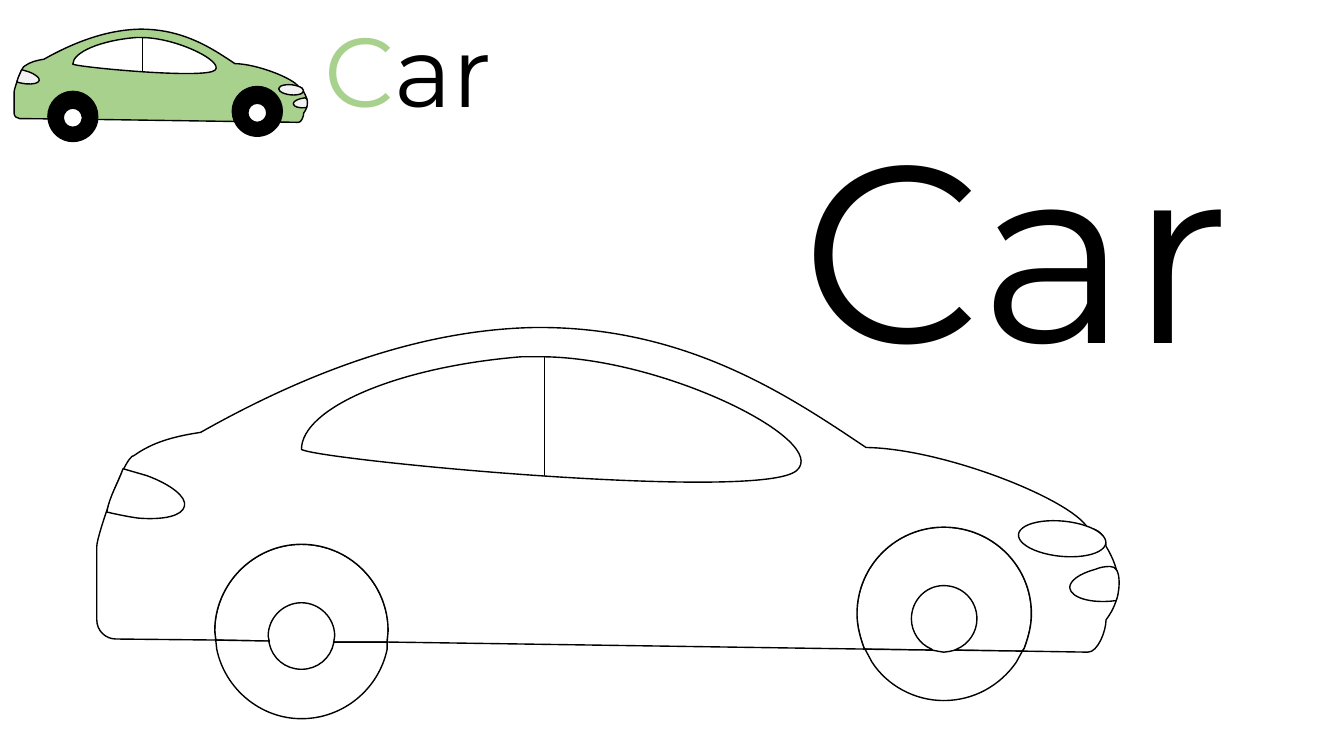
import lxml.etree
import pptx
import pptx.dml.color
import pptx.enum.shapes
import pptx.enum.text
import pptx.oxml.ns
import pptx.util

WIDTH, HEIGHT = 13.33, 7.5
FONT = "Montserrat"
GREEN, BLACK, WHITE, PALE = "A9D18E", "000000", "FFFFFF", "F2F2F2"
CAR_LEFT, CAR_TOP = 0.96, 3.25

WHEELS_TOP = [
    "M 9.36 5.23 C 8.89 5.23 8.5 5.61 8.5 6.09 C 8.5 6.21 8.53 6.32 8.57 6.43 L 8.58 6.44 "
    "L 9.25 6.45 L 9.24 6.44 C 9.12 6.39 9.04 6.27 9.04 6.14 C 9.04 5.96 9.18 5.81 9.36 5.81 "
    "C 9.55 5.81 9.69 5.96 9.69 6.14 C 9.69 6.27 9.61 6.39 9.49 6.44 L 9.47 6.45 L 10.14 6.46 "
    "L 10.16 6.43 C 10.2 6.32 10.23 6.21 10.23 6.09 C 10.23 5.61 9.84 5.23 9.36 5.23",
    "M 2.99 5.4 C 2.52 5.4 2.13 5.79 2.13 6.26 L 2.14 6.35 L 2.67 6.36 L 2.66 6.31 "
    "C 2.66 6.13 2.81 5.98 2.99 5.98 C 3.17 5.98 3.32 6.13 3.32 6.31 L 3.31 6.37 L 3.84 6.37 "
    "L 3.85 6.26 C 3.85 5.79 3.47 5.4 2.99 5.4",
]
BODY = (
    "M 5.29 3.25 C 4.38 3.27 3.3 3.55 1.99 4.29 C 1.72 4.33 1.51 4.39 1.33 4.52 "
    "C 1.23 4.52 0.96 5.32 0.96 5.42 L 0.96 6.15 C 0.96 6.26 1.05 6.34 1.15 6.34 L 2.14 6.35 "
    "L 2.13 6.26 C 2.13 5.79 2.52 5.4 2.99 5.4 C 3.47 5.4 3.85 5.79 3.85 6.26 L 3.84 6.37 "
    "L 8.58 6.44 L 8.57 6.43 C 8.53 6.32 8.5 6.21 8.5 6.09 C 8.5 5.61 8.89 5.23 9.36 5.23 "
    "C 9.84 5.23 10.23 5.61 10.23 6.09 C 10.23 6.21 10.2 6.32 10.16 6.43 L 10.14 6.46 "
    "L 10.79 6.47 C 10.89 6.47 10.97 6.26 10.97 6.15 C 11.15 5.91 11.12 5.67 10.97 5.42 "
    "C 10.97 5.32 10.89 5.24 10.79 5.24 C 10.62 4.95 9.35 4.45 8.59 4.44 "
    "C 7.84 3.94 6.81 3.23 5.29 3.25 "
    "M 5.4 3.54 C 6.62 3.56 8.24 4.38 7.9 4.67 C 7.54 4.98 3.21 4.57 2.99 4.46 "
    "C 2.99 4.05 3.94 3.64 5.17 3.54 C 5.24 3.54 5.32 3.54 5.4 3.54"
)
WHEELS_BOTTOM = [
    "M 2.14 6.35 L 2.15 6.44 C 2.23 6.83 2.58 7.13 2.99 7.13 C 3.41 7.13 3.76 6.83 3.84 6.44 "
    "L 3.84 6.37 L 3.31 6.37 L 3.31 6.38 C 3.28 6.53 3.15 6.64 2.99 6.64 "
    "C 2.83 6.64 2.7 6.53 2.67 6.38 L 2.67 6.36 L 2.14 6.35",
    "M 8.58 6.44 L 8.65 6.57 C 8.8 6.8 9.07 6.95 9.36 6.95 C 9.66 6.95 9.92 6.8 10.08 6.57 "
    "L 10.14 6.46 L 9.47 6.45 L 9.43 6.46 C 9.41 6.46 9.39 6.47 9.36 6.47 "
    "C 9.34 6.47 9.32 6.46 9.3 6.46 L 9.25 6.45 L 8.58 6.44",
]
TAIL_LIGHT = (
    "M 1.22 4.65 C 1.17 4.8 1.09 4.91 1.06 5.08 C 1.14 5.1 1.29 5.13 1.37 5.14 "
    "C 1.62 5.16 1.81 5.12 1.83 5.02 C 1.85 4.93 1.7 4.81 1.46 4.72 L 1.22 4.65"
)
FOG_LIGHT = (
    "M 10.86 5.65 C 10.71 5.69 10.61 5.76 10.61 5.83 C 10.62 5.93 10.82 5.99 11.06 5.96 "
    "L 11.07 5.96 C 11.1 5.9 11.14 5.61 11.01 5.62 C 10.95 5.62 10.91 5.63 10.86 5.65"
)


def rgb(color):
    """Turn a hex string into a colour."""
    return pptx.dml.color.RGBColor.from_string(color)


def paint(sp, fill, line=BLACK):
    """Give a shape a flat fill and a one-point line."""
    sp.shadow.inherit = False
    sp.fill.solid()
    sp.fill.fore_color.rgb = rgb(fill)
    sp.line.color.rgb = rgb(line)
    sp.line.width = pptx.util.Pt(1)


def bend(sp, commands):
    """Join every three line segments that stand for a curve into one cubic."""
    segments = iter(list(sp._element.iter(pptx.oxml.ns.qn("a:lnTo"))))
    for command in commands:
        segment = next(segments)
        if command == "C":
            cubic = lxml.etree.Element(pptx.oxml.ns.qn("a:cubicBezTo"))
            segment.addprevious(cubic)
            for part in (segment, next(segments), next(segments)):
                cubic.append(part[0])
                part.getparent().remove(part)


def add_outline(shapes, outline, place, fill):
    """Draw a closed outline, with any further contours as holes."""
    contours, commands = [], []
    tokens = iter(outline.split())
    for command in tokens:
        points = [place(float(next(tokens)), float(next(tokens)))
                  for _ in range(3 if command == "C" else 1)]
        if command == "M":
            contours.append(points)
        else:
            contours[-1] += points
            commands.append(command)
    builder = shapes.build_freeform(*contours[0][0])
    for i, points in enumerate(contours):
        if i:
            builder.move_to(*points[0])
        builder.add_line_segments(points[1:], close=True)
    sp = builder.convert_to_shape()
    bend(sp, commands)
    paint(sp, fill)


def add_car(slide, left, top, scale, body, wheel, light):
    """Draw the grouped car at a place, scale and colour scheme."""
    def place(x, y):
        """Map car coordinates to the slide."""
        return (pptx.util.Inches(left + (x - CAR_LEFT) * scale),
                pptx.util.Inches(top + (y - CAR_TOP) * scale))

    shapes = slide.shapes.add_group_shape().shapes
    pillar = shapes.add_connector(pptx.enum.shapes.MSO_CONNECTOR.STRAIGHT,
                                  *place(5.4, 3.54), *place(5.4, 5.56))
    pillar.line.color.rgb = rgb(BLACK)
    pillar.line.width = pptx.util.Pt(0.5)
    lxml.etree.SubElement(pillar._element.spPr, pptx.oxml.ns.qn("a:effectLst"))
    parts = [(outline, wheel) for outline in WHEELS_TOP] + [(BODY, body)]
    parts += [(outline, wheel) for outline in WHEELS_BOTTOM]
    for outline, fill in parts + [(TAIL_LIGHT, light)]:
        add_outline(shapes, outline, place, fill)
    headlight = shapes.add_shape(pptx.enum.shapes.MSO_SHAPE.OVAL, *place(10.1, 5.17),
                                 pptx.util.Inches(0.87 * scale), pptx.util.Inches(0.35 * scale))
    headlight.rotation = 5.6
    paint(headlight, light)
    add_outline(shapes, FOG_LIGHT, place, light)


def outline_run(r, width, dash):
    """Add a black outline to the letters of a run."""
    ln = lxml.etree.Element(pptx.oxml.ns.qn("a:ln"), w=str(pptx.util.Pt(width)))
    fill = lxml.etree.SubElement(ln, pptx.oxml.ns.qn("a:solidFill"))
    lxml.etree.SubElement(fill, pptx.oxml.ns.qn("a:srgbClr"), val=BLACK)
    lxml.etree.SubElement(ln, pptx.oxml.ns.qn("a:prstDash"), val=dash)
    r.font._element.insert(0, ln)


def add_word(slide, left, top, width, height, size, runs):
    """Add a one-line word from runs of text, colour, outline width and dash."""
    tf = slide.shapes.add_textbox(*map(pptx.util.Inches, (left, top, width, height))).text_frame
    tf.word_wrap = True
    tf.auto_size = pptx.enum.text.MSO_AUTO_SIZE.SHAPE_TO_FIT_TEXT
    p = tf.paragraphs[0]
    p.font.name = FONT
    p.font.size = pptx.util.Pt(size)
    for text, color, outline, dash in runs:
        r = p.add_run()
        r.text = text
        r.font.color.rgb = rgb(color)
        if outline:
            outline_run(r, outline, dash)


def main():
    """Build the slide with a coloured model car and one to colour in."""
    prs = pptx.Presentation()
    prs.slide_width = pptx.util.Inches(WIDTH)
    prs.slide_height = pptx.util.Inches(HEIGHT)
    slide = prs.slides.add_slide(prs.slide_layouts[6])
    page = slide.shapes.add_shape(pptx.enum.shapes.MSO_SHAPE.RECTANGLE, 0, 0,
                                  prs.slide_width, prs.slide_height)
    paint(page, WHITE, WHITE)
    add_word(slide, 7.85, 0.86, 6.59, 3.13, 180, [("Car", BLACK, 3, "sysDot")])
    add_word(slide, 3.12, 0.05, 2.32, 1.28, 70,
             [("C", GREEN, 0.75, "solid"), ("ar", BLACK, 0, "solid")])
    add_car(slide, CAR_LEFT, CAR_TOP, 1, WHITE, WHITE, WHITE)
    add_car(slide, 0.14, 0.29, 0.287, GREEN, BLACK, PALE)
    prs.save("out.pptx")


if __name__ == "__main__":
    main()
